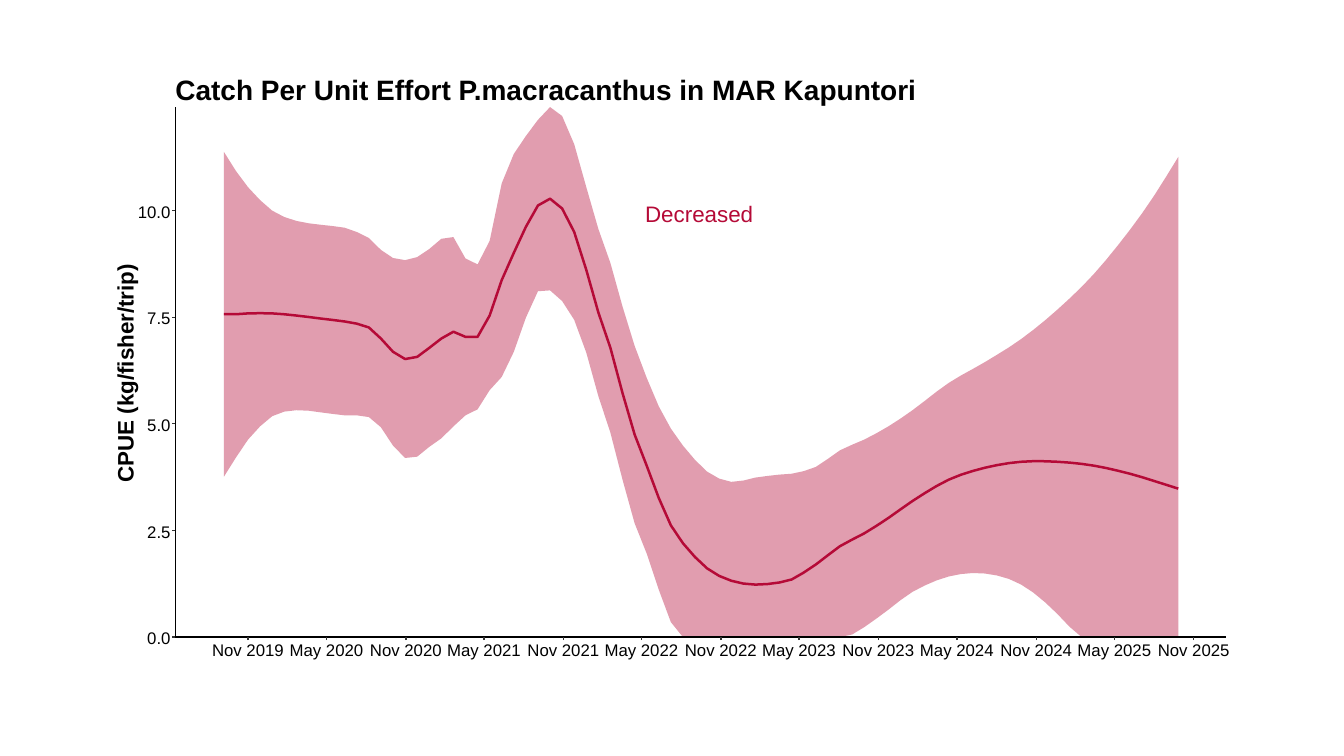
from itertools import accumulate
from lxml import etree
from pptx import Presentation, util as u
from pptx.dml.color import RGBColor
from pptx.enum import shapes, text
from pptx.oxml.ns import qn

TITLE = "Catch Per Unit Effort P.macracanthus in MAR Kapuntori"
Y_NAME = "CPUE (kg/fisher/trip)"
TREND = "Decreased"
RED, BLACK, GREY = "B50A37", "000000", "333333"

# Fitted catch: (28-day period, mean kg, half-width of the band in kg)
CATCH = [
    (0, 7.57, 3.81), (1, 7.57, 3.36), (2, 7.59, 2.96), (4, 7.59, 2.41),
    (6, 7.54, 2.22), (8, 7.47, 2.20), (10, 7.40, 2.20), (11, 7.35, 2.15),
    (12, 7.26, 2.10), (13, 7.00, 2.08), (14, 6.69, 2.20), (15, 6.52, 2.32),
    (16, 6.57, 2.34), (17, 6.78, 2.32), (18, 7.00, 2.34), (19, 7.16, 2.22),
    (20, 7.04, 1.84), (21, 7.04, 1.70), (22, 7.54, 1.75), (23, 8.37, 2.27),
    (24, 9.01, 2.32), (25, 9.62, 2.13), (26, 10.12, 2.01), (27, 10.28, 2.15),
    (28, 10.05, 2.17), (29, 9.50, 2.06), (30, 8.61, 1.94), (31, 7.61, 1.96),
    (32, 6.78, 1.99), (33, 5.72, 2.03), (34, 4.75, 2.08), (35, 4.02, 2.06),
    (36, 3.26, 2.15), (37, 2.62, 2.27), (38, 2.20, 2.29), (40, 1.61, 2.27),
    (42, 1.32, 2.32), (44, 1.23, 2.51), (46, 1.28, 2.53), (47, 1.35, 2.48),
    (49, 1.70, 2.29), (51, 2.13, 2.25), (53, 2.43, 2.20), (55, 2.79, 2.15),
    (57, 3.19, 2.13), (60, 3.69, 2.27), (63, 3.97, 2.48), (66, 4.11, 2.88),
    (69, 4.11, 3.57), (72, 4.02, 4.49), (75, 3.83, 5.72), (77, 3.66, 6.69),
    (79, 3.48, 7.78)]
PERIOD = 28                          # days between samples

# Axis marks; days are counted from 1 Nov 2019
Y_MARKS = [2.5 * i for i in range(5)]
X_MARKS = [f"{month} {year}" for year in range(2019, 2026)
           for month in ("May", "Nov")][1:]
LEAP = (2020, 2024)
GAPS = [days for year in range(2020, 2026)
        for days in (181 + (year in LEAP), 184)]
X_DAYS = list(accumulate(GAPS, initial=0))
START = -2 * PERIOD                  # day of the first sample

# Plot frame and scales, in inches
LEFT, RIGHT, TOP, FLOOR = 1.74, 12.16, 1.06, 6.32
ORIGIN = 2.46                        # place of day 0
PER_DAY = 9.38 / X_DAYS[-1]
PER_KG = 4.23 / 10
TICK = 0.03
LABEL = 0.3                          # height of an axis label

prs = Presentation()
prs.slide_width, prs.slide_height = u.Inches(13.33), u.Inches(7.5)
slide = prs.slides.add_slide(prs.slide_layouts[6])
plot = slide.shapes.add_group_shape().shapes


def color(code):
    return RGBColor.from_string(code)


def day_x(day):
    return ORIGIN + day * PER_DAY


def kg_y(kg):
    """Place a catch on the slide, cut off at zero."""
    return FLOOR - max(kg, 0) * PER_KG


def smooth(knots):
    """Give a value for every period, on a cubic curve through the knots."""
    last = len(knots) - 1
    slopes = []
    for i in range(last + 1):
        (t0, v0), (t1, v1) = knots[max(i - 1, 0)], knots[min(i + 1, last)]
        slopes.append((v1 - v0) / (t1 - t0))
    values = []
    for i in range(last):
        (t0, v0), (t1, v1) = knots[i:i + 2]
        gap = t1 - t0
        for t in range(t0, t1):
            s = (t - t0) / gap
            ease = s * s * (3 - 2 * s)
            bend = s * (1 - s) * gap * ((1 - s) * slopes[i] - s * slopes[i + 1])
            values.append(v0 + (v1 - v0) * ease + bend)
    return values + [knots[-1][1]]


def trace(series):
    """Turn catches into slide points, one per period."""
    return [(u.Inches(day_x(START + i * PERIOD)), u.Inches(kg_y(kg)))
            for i, kg in enumerate(series)]


def outline(points, close):
    pen = plot.build_freeform(*points[0], scale=1.0)
    pen.add_line_segments(points[1:], close=close)
    shape = pen.convert_to_shape()
    shape.shadow.inherit = False
    return shape


def rule(x1, y1, x2, y2, ink=GREY):
    line = plot.add_connector(shapes.MSO_CONNECTOR.STRAIGHT,
                              *map(u.Inches, (x1, y1, x2, y2)))
    line.line.color.rgb = color(ink)
    line.line.width = u.Pt(0.89)
    etree.SubElement(line._element.spPr, qn("a:effectLst"))


def write(words, x, y, w, h, size=12, ink=BLACK, bold=False, align="LEFT", turn=0):
    box = plot.add_textbox(*map(u.Inches, (x, y, w, h)))
    box.rotation = turn
    frame = box.text_frame
    frame.word_wrap = False
    frame.auto_size = text.MSO_AUTO_SIZE.SHAPE_TO_FIT_TEXT
    par = frame.paragraphs[0]
    par.alignment = text.PP_ALIGN[align]
    run = par.add_run()
    run.text = words
    font = run.font
    font.name, font.size, font.bold = "Arial", u.Pt(size), bold
    font.color.rgb = color(ink)


def draw_band(mean, spread):
    upper = trace([m + s for m, s in zip(mean, spread)])
    lower = trace([m - s for m, s in zip(mean, spread)])
    band = outline(upper + lower[::-1], True)
    band.fill.solid()
    band.fill.fore_color.rgb = color(RED)
    tint = band._element.spPr.find(".//" + qn("a:srgbClr"))
    etree.SubElement(tint, qn("a:alpha"), val="40000")
    band.line.fill.background()


def draw_mean(mean):
    curve = outline(trace(mean), False)
    curve.fill.background()
    curve.line.color.rgb = color(RED)
    curve.line.width = u.Pt(1.78)


def draw_y_axis():
    rule(LEFT, FLOOR, LEFT, TOP, BLACK)
    for kg in Y_MARKS:
        mark, y = f"{kg:.1f}", kg_y(kg)
        wide = 0.17 + 0.09 * len(mark)
        rule(LEFT - TICK, y, LEFT, y)
        write(mark, LEFT + 0.05 - wide, y - 0.14, wide, LABEL, align="RIGHT")


def draw_x_axis():
    wide = 0.93
    rule(LEFT, FLOOR, RIGHT, FLOOR, BLACK)
    for mark, day in zip(X_MARKS, X_DAYS):
        x = day_x(day)
        rule(x, FLOOR + TICK, x, FLOOR)
        write(mark, x - wide / 2, FLOOR - 0.02, wide, LABEL, align="CENTER")


mean = smooth([(t, m) for t, m, s in CATCH])
spread = smooth([(t, s) for t, m, s in CATCH])
draw_band(mean, spread)
draw_mean(mean)
write(TREND, 6.3, 1.94, 1.29, 0.37, size=16, ink=RED)
draw_y_axis()
draw_x_axis()
write(Y_NAME, 0.04, 3.5, 2.4, 0.37, size=16, bold=True, turn=270)
write(TITLE, LEFT - 0.1, 0.67, 7.61, 0.44, size=20, bold=True)

prs.save("out.pptx")
